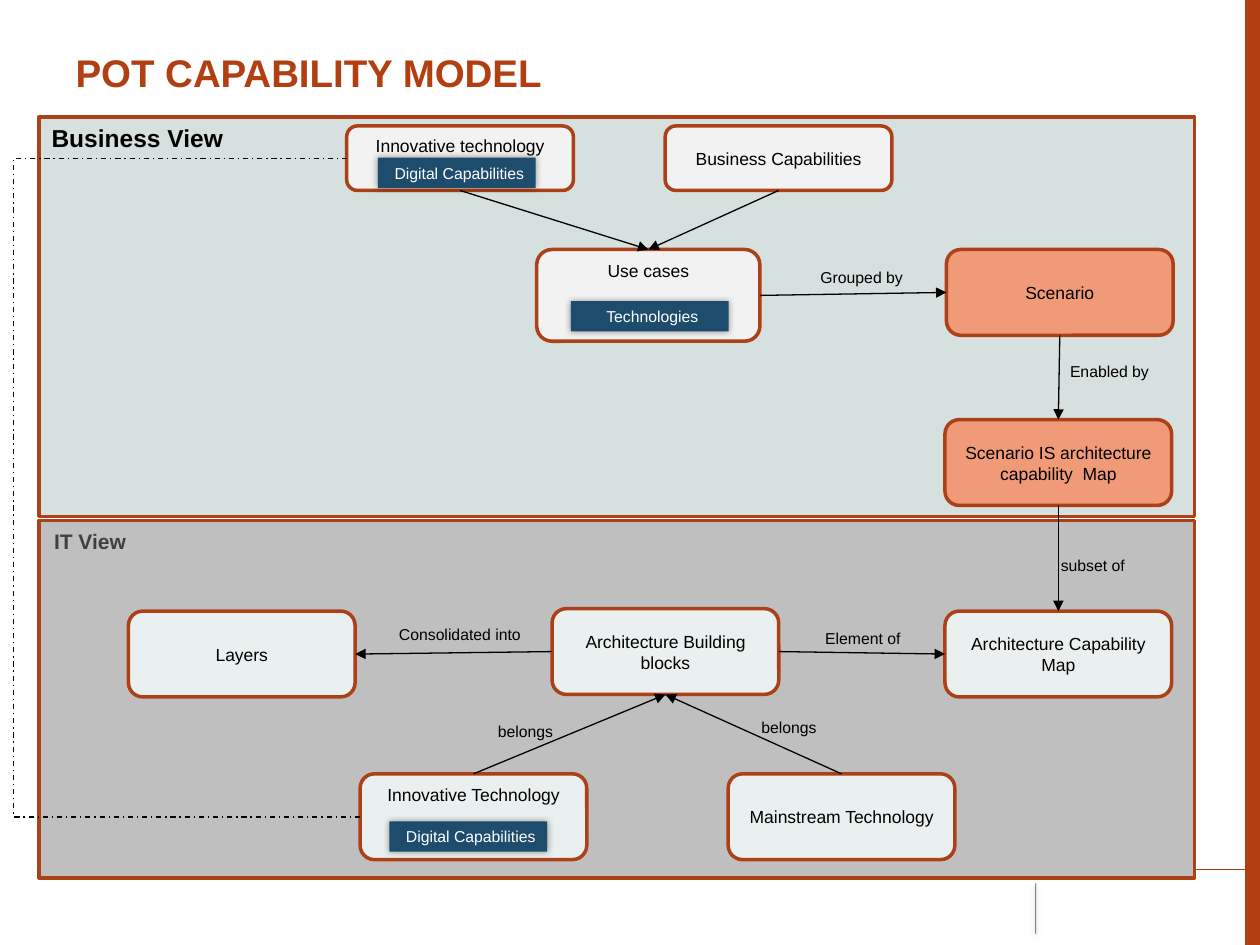
from lxml import etree
from pptx import Presentation
from pptx.dml.color import RGBColor
from pptx.enum import dml, shapes, text
from pptx.oxml import ns
from pptx.util import Cm, Pt


class Theme:
    font = "Arial"
    rust, edge = "B23F12", "AC4016"
    mist, gray = "D6E0DE", "BFBFBF"
    pale, ice, peach, navy = "F2F2F2", "EAF0EF", "F19A78", "1E4C6D"
    black, dark, white = "000000", "404040", "FFFFFF"
    title, head, sub, body, note = 22, 14, 12, 10, 9
    thick, thin, hair = 2, 0.75, 0.5


TOP, MID = text.MSO_ANCHOR.TOP, text.MSO_ANCHOR.MIDDLE
LEFT, CENTER = text.PP_ALIGN.LEFT, text.PP_ALIGN.CENTER
RECT, ROUND = shapes.MSO_SHAPE.RECTANGLE, shapes.MSO_SHAPE.ROUNDED_RECTANGLE
LINE, ELBOW = shapes.MSO_CONNECTOR.STRAIGHT, shapes.MSO_CONNECTOR.ELBOW

deck = Presentation()
deck.slide_width, deck.slide_height = Cm(25.4), Cm(19.05)
slide = deck.slides.add_slide(deck.slide_layouts[5])
tree = slide.shapes


def place(kind, area, words="", fill=None, edge=None, size=Theme.body,
          color=Theme.black, bold=False, align=CENTER, frame=None):
    area = [Cm(n) for n in area]
    if kind == "title":
        item = tree.title
        item.left, item.top, item.width, item.height = area
    elif kind == "text":
        item = tree.add_textbox(*area)
    else:
        item = tree.add_shape(kind, *area)
        item.shadow.inherit = False
        item.fill.solid()
        item.fill.fore_color.rgb = RGBColor.from_string(fill)
        if edge:
            item.line.color.rgb = RGBColor.from_string(edge)
            item.line.width = Pt(Theme.thick)
        else:
            item.line.fill.background()
    if words:
        look = {"word_wrap": True, "vertical_anchor": MID, **(frame or {})}
        for key, val in look.items():
            setattr(item.text_frame, key, val)
        para = item.text_frame.paragraphs[0]
        para.alignment = align
        run = para.add_run()
        run.text = words
        run.font.color.rgb = RGBColor.from_string(color)
        for key, val in {"name": Theme.font, "size": Pt(size), "bold": bold}.items():
            setattr(run.font, key, val)
    return item


def wire(kind, ends, color=Theme.black, width=Theme.thin, dash=None, arrow=False):
    item = tree.add_connector(kind, *[Cm(n) for n in ends])
    item.line.color.rgb = RGBColor.from_string(color)
    item.line.width = Pt(width)
    if dash:
        item.line.dash_style = dash
    if arrow:
        etree.SubElement(item.line._get_or_add_ln(), ns.qn("a:tailEnd"), type="triangle")
    etree.SubElement(item._element.spPr, ns.qn("a:effectLst"))
    return item


place(RECT, (25.1, 0, 0.3, 19.05), fill=Theme.rust)
wire(LINE, (1.27, 17.53, 25.4, 17.53), Theme.rust)
tick = wire(LINE, (20.88, 17.81, 20.88, 18.82), width=Theme.hair)
ink = tick._element.xpath(".//a:ln//a:srgbClr")[0]
etree.SubElement(ink, ns.qn("a:alpha"), val="70000")

place("title", (1.27, 0.76, 22.83, 1.75), "POT CAPABILITY MODEL", size=Theme.title,
      color=Theme.rust, bold=True, align=LEFT,
      frame={"vertical_anchor": TOP, "margin_top": Cm(0.23),
             "auto_size": text.MSO_AUTO_SIZE.NONE})
place(RECT, (0.79, 2.36, 23.29, 8.05), "Business View", Theme.mist, Theme.edge,
      Theme.head, bold=True, align=LEFT, frame={"vertical_anchor": TOP})
place(RECT, (0.79, 10.49, 23.29, 7.21), fill=Theme.gray, edge=Theme.edge)
place("text", (0.84, 10.19, 7.14, 1.45), "IT View", size=Theme.sub,
      color=Theme.dark, bold=True, align=LEFT)

wide, low, tall = 4.57, 1.3, 1.73
nodes = {}
for name, words, x, y, w, h, fill, anchor in [
    ("idea", "Innovative technology", 6.99, 2.54, wide, low, Theme.pale, TOP),
    ("skill", "Business Capabilities", 13.41, 2.54, wide, low, Theme.pale, MID),
    ("case", "Use cases", 10.82, 5.03, 4.5, 1.85, Theme.pale, TOP),
    ("scene", "Scenario", 19.08, 5.03, wide, tall, Theme.peach, MID),
    ("plan", "Scenario IS architecture capability  Map", 19.05, 8.46, wide, tall,
     Theme.peach, MID),
    ("layer", "Layers", 2.59, 12.32, wide, tall, Theme.ice, MID),
    ("block", "Architecture Building blocks", 11.13, 12.27, wide, tall, Theme.ice, MID),
    ("map", "Architecture Capability Map", 19.05, 12.32, wide, tall, Theme.ice, MID),
    ("new", "Innovative Technology", 7.26, 15.6, wide, tall, Theme.ice, TOP),
    ("main", "Mainstream Technology", 14.68, 15.6, wide, tall, Theme.ice, MID),
]:
    nodes[name] = place(ROUND, (x, y, w, h), words, fill, Theme.edge,
                        frame={"vertical_anchor": anchor})

for tail, out, head, into in [
    ("idea", 2, "case", 0), ("skill", 2, "case", 0), ("case", 3, "scene", 1),
    ("scene", 2, "plan", 0), ("plan", 2, "map", 0), ("block", 1, "layer", 3),
    ("block", 3, "map", 1), ("new", 0, "block", 2), ("main", 0, "block", 2),
]:
    link = wire(LINE, (0, 0, 1, 1), arrow=True)
    link.begin_connect(nodes[tail], out)
    link.end_connect(nodes[head], into)

loop = wire(ELBOW, (7.26, 16.47, 6.99, 3.19), dash=dml.MSO_LINE.DASH_DOT)
bend = loop._element.xpath(".//a:prstGeom")[0].get_or_add_avLst()
ratio = round((7.26 - 0.28) / (7.26 - 6.99) * 100000)
etree.SubElement(bend, ns.qn("a:gd"), name="adj1", fmla=f"val {ratio}")

for words, x, y, w in [
    ("Grouped by", 16.28, 5.26, 2.18), ("Enabled by", 21.31, 7.16, 2.11),
    ("subset of", 21.08, 11.07, 1.9), ("Consolidated into", 7.77, 12.47, 3),
    ("Element of", 16.33, 12.55, 2.13), ("belongs", 9.78, 14.43, 1.63),
    ("belongs", 15.09, 14.35, 1.63),
]:
    place("text", (x, y, w, 0.64), words, size=Theme.note,
          frame={"word_wrap": False, "auto_size": text.MSO_AUTO_SIZE.SHAPE_TO_FIT_TEXT})

inset = {"margin_left": Cm(0.1), "margin_top": 0, "margin_right": 0, "margin_bottom": 0}
shades = [(tick, 3.1, 1.6, 90, 38)]
for words, x, y in [
    ("Digital Capabilities", 7.62, 3.18), ("Technologies", 11.51, 6.07),
    ("Digital Capabilities", 7.85, 16.56),
]:
    tag = place(RECT, (x, y, 3.18, 0.61), words, Theme.navy, size=Theme.note,
                color=Theme.white, frame=inset)
    shades.append((tag, 4, 0, 45, 40))

for item, blur, dist, angle, alpha in shades:
    effect = item._element.spPr.find(ns.qn("a:effectLst"))
    shade = etree.SubElement(effect, ns.qn("a:outerShdw"), blurRad=str(Pt(blur)),
                             dist=str(Pt(dist)), dir=str(angle * 60000), rotWithShape="0")
    tone = etree.SubElement(shade, ns.qn("a:srgbClr"), val=Theme.black)
    etree.SubElement(tone, ns.qn("a:alpha"), val=str(alpha * 1000))

deck.save("out.pptx")
